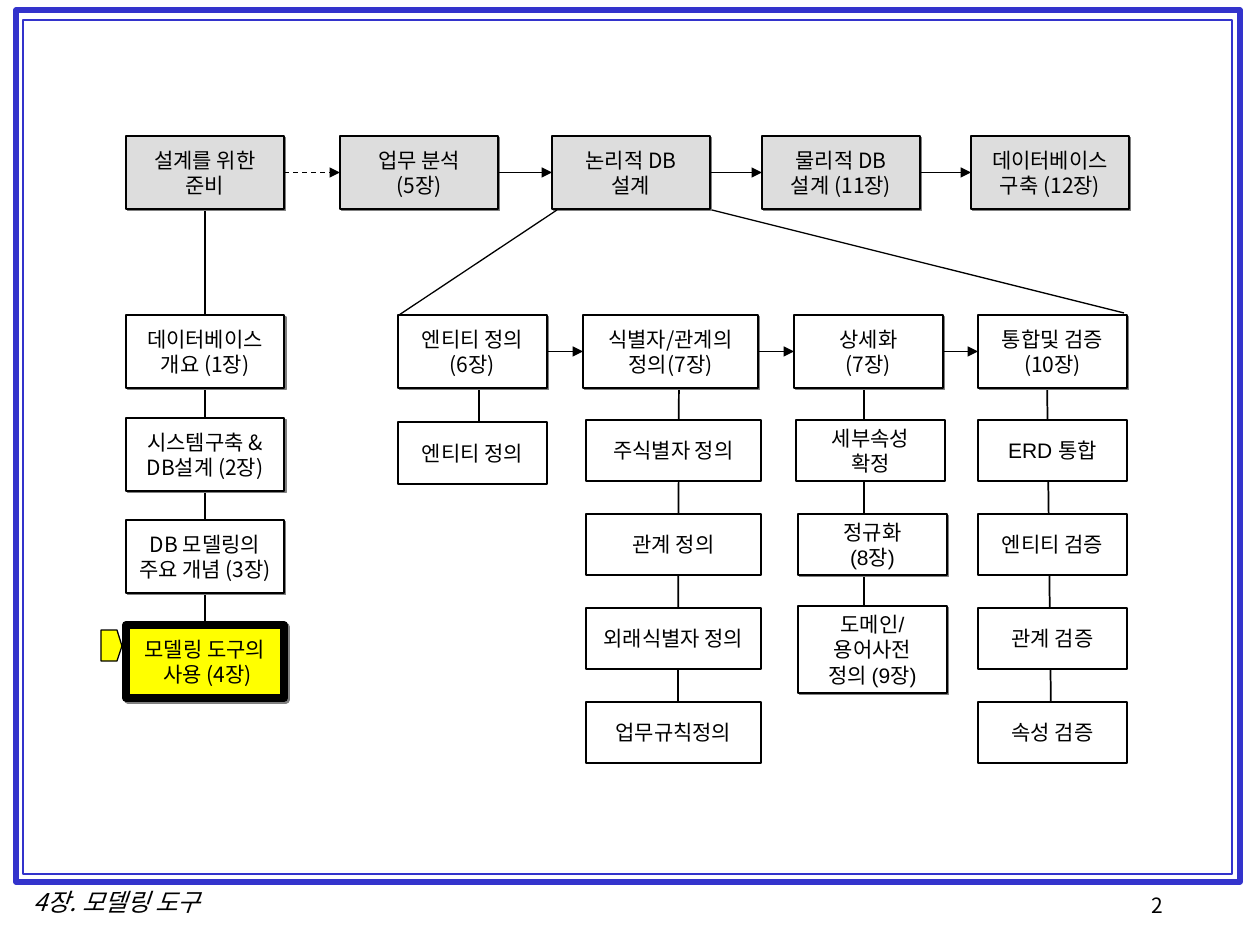
"""Build the database design roadmap slide."""
from lxml.etree import SubElement
from pptx import Presentation
from pptx.dml.color import RGBColor
from pptx.enum.dml import MSO_LINE
from pptx.enum.shapes import MSO_CONNECTOR, MSO_SHAPE
from pptx.enum.text import MSO_ANCHOR, MSO_AUTO_SIZE, PP_ALIGN
from pptx.oxml.ns import qn
from pptx.util import Pt

PX = 914400 / 126
COLORS = {"frame": "3333CC", "ink": "000000", "stage": "DDDDDD", "plain": "FFFFFF",
          "current": "FFFF00", "shadow": "808080"}
RGB = {name: RGBColor.from_string(value) for name, value in COLORS.items()}
NOTO, ARIAL = "Noto Sans CJK KR", "Arial"


def write(tf, text, size=12, font=NOTO, align=PP_ALIGN.CENTER, italic=False):
    tf.word_wrap = False
    for i, row in enumerate(text.split("\n")):
        p = tf.add_paragraph() if i else tf.paragraphs[0]
        p.alignment = align
        r = p.add_run()
        r.text = row
        r.font.size = Pt(size)
        r.font.name = font
        r.font.italic = italic
        r.font.color.rgb = RGB["ink"]
        SubElement(r.font._element, qn("a:ea"), typeface=NOTO)


def connect(x1, y1, x2, y2, width=0.75, arrow=False):
    ends = [round(v * PX) for v in (x1, y1, x2, y2)]
    c = s.shapes.add_connector(MSO_CONNECTOR.STRAIGHT, *ends)
    c.line.color.rgb = RGB["ink"]
    c.line.width = Pt(width)
    spPr = c._element.spPr
    if arrow:
        SubElement(spPr.find(qn("a:ln")), qn("a:tailEnd"), type="triangle")
    SubElement(spPr, qn("a:effectLst"))
    return c


prs = Presentation()
prs.slide_width, prs.slide_height = round(1260 * PX), round(945 * PX)
s = prs.slides.add_slide(prs.slide_layouts[6])

for x, y, w, h, width in [(16, 10, 1224, 872, 3), (23, 20, 1209, 854, 1)]:
    sp = s.shapes.add_shape(MSO_SHAPE.RECTANGLE, *[round(v * PX) for v in (x, y, w, h)])
    sp.shadow.inherit = False
    sp.fill.background()
    sp.line.color.rgb = RGB["frame"]
    sp.line.width = Pt(width)

footers = [("2", 1139, 886, 129, 42, 12, PP_ALIGN.LEFT, False),
           ("4장. 모델링 도구", 11, 881, 212, 43, 14, PP_ALIGN.CENTER, True)]
for text, x, y, w, h, size, align, italic in footers:
    tf = s.shapes.add_textbox(*[round(v * PX) for v in (x, y, w, h)]).text_frame
    write(tf, text, size=size, align=align, italic=italic)
    tf.auto_size = MSO_AUTO_SIZE.SHAPE_TO_FIT_TEXT

prep_trunk = connect(203, 210, 203, 625)
for x1, y1, x2, y2 in [(479, 384, 479, 426), (679, 367, 678, 703),
                       (864, 374, 864, 612), (1047, 374, 1051, 709)]:
    connect(x1, y1, x2, y2, width=1)

stages = [("설계를 위한\n준비", 126), ("업무 분석\n(5장)", 340), ("논리적 DB\n설계", 552),
          ("물리적 DB\n설계 (11장)", 762), ("데이터베이스\n구축 (12장)", 971)]
preparation = [("데이터베이스\n개요 (1장)", 315, "plain", 1), ("시스템구축 &\nDB설계 (2장)", 418, "plain", 1),
               ("DB 모델링의\n주요 개념 (3장)", 520, "plain", 0.75),
               ("모델링 도구의\n 사용 (4장)", 625, "current", 4.5)]
steps = [("엔티티 정의\n(6장)", 398, 149, 1), ("식별자/관계의\n정의(7장)", 583, 175, 0.75),
         ("상세화\n(7장)", 794, 149, 1), ("통합및 검증\n(10장)", 978, 149, 1)]
tasks = [("엔티티 정의", 398, 422, 149, 62, 1, False),
         ("세부속성\n확정", 796, 420, 149, 61, 0.75, False),
         ("정규화\n(8장)", 798, 514, 149, 61, 0.75, True),
         ("도메인/\n용어사전\n정의 (9장)", 798, 606, 149, 87, 0.75, True)]
task_columns = [(586, 175, ["주식별자 정의", "관계 정의", "외래식별자 정의", "업무규칙정의"]),
                (978, 149, ["ERD 통합", "엔티티 검증", "관계 검증", "속성 검증"])]
for x, w, names in task_columns:
    tasks += [(name, x, 420 + 94 * i, w, 61, 0.75, False) for i, name in enumerate(names)]

boxes = [(text, x, 136, 158, 73, "stage", 0.75, NOTO, True) for text, x in stages]
boxes += [(text, 126, y, 158, 73, fill, width, NOTO, True) for text, y, fill, width in preparation]
boxes += [(text, x, 315, w, 73, "plain", width, NOTO, True) for text, x, w, width in steps]
boxes += [(text, x, y, w, h, "plain", width, ARIAL, shadow) for text, x, y, w, h, width, shadow in tasks]

shapes = []
for text, x, y, w, h, fill, width, font, shadow in boxes:
    sp = s.shapes.add_shape(MSO_SHAPE.RECTANGLE, *[round(v * PX) for v in (x, y, w, h)])
    sp.fill.solid()
    sp.fill.fore_color.rgb = RGB[fill]
    sp.line.color.rgb = RGB["ink"]
    sp.line.width = Pt(width)
    sp.shadow.inherit = False
    if shadow:
        effects = sp._element.spPr.find(qn("a:effectLst"))
        outer = SubElement(effects, qn("a:outerShdw"), blurRad="0", dist="17780", dir="2700000",
                           algn="ctr", rotWithShape="0")
        SubElement(outer, qn("a:srgbClr"), val=COLORS["shadow"])
    sp.text_frame.vertical_anchor = MSO_ANCHOR.MIDDLE
    write(sp.text_frame, text, font=font)
    shapes.append(sp)

stage_shapes, prep_shapes, step_shapes = shapes[:5], shapes[5:9], shapes[9:13]
prep_trunk.begin_connect(stage_shapes[0], 2)
prep_trunk.end_connect(prep_shapes[-1], 0)

for row in (stage_shapes, step_shapes):
    for left, right in zip(row, row[1:]):
        c = connect(0, 0, 0, 0, arrow=True)
        c.begin_connect(left, 3)
        c.end_connect(right, 1)
        if left is stage_shapes[0]:
            c.line.dash_style = MSO_LINE.DASH

connect(557, 210, 399, 315)
connect(712, 210, 1124, 313)

fb = s.shapes.build_freeform(101, 630, scale=PX)
fb.add_line_segments([(117, 630), (122, 646), (117, 661), (101, 661)], close=True)
marker = fb.convert_to_shape()
marker.shadow.inherit = False
marker.fill.solid()
marker.fill.fore_color.rgb = RGB["current"]
marker.line.color.rgb = RGB["ink"]
marker.line.width = Pt(0.75)

prs.save("out.pptx")
